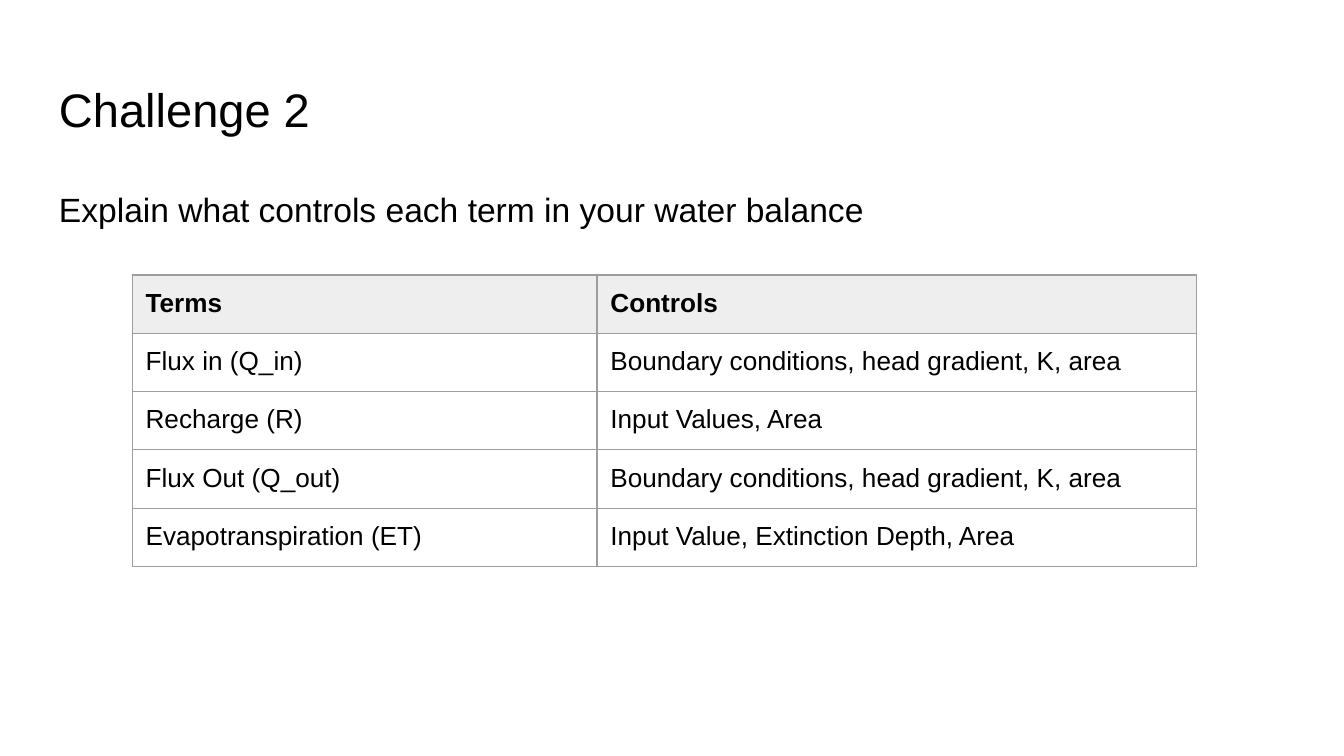
from lxml import etree
from pptx import Presentation
from pptx.dml.color import RGBColor
from pptx.enum import text
from pptx.oxml import ns
from pptx.util import Pt

COLORS = {"ink": "000000", "header": "EEEEEE", "border": "9E9E9E"}
MARGIN = Pt(7.2)


def write(frame, words, size, bold=False, spacing=1.0):
    para = frame.paragraphs[0]
    para.line_spacing = spacing
    span = para.add_run()
    span.text = words
    span.font.name = "Arial"
    span.font.size = Pt(size)
    span.font.bold = bold
    span.font.color.rgb = RGBColor.from_string(COLORS["ink"])


def add_border(cell):
    properties = cell._tc.get_or_add_tcPr()
    for index, side in enumerate(("lnL", "lnR", "lnT", "lnB")):
        line = etree.Element(ns.qn(f"a:{side}"), w=str(Pt(0.75)))
        fill = etree.SubElement(line, ns.qn("a:solidFill"))
        etree.SubElement(fill, ns.qn("a:srgbClr"), val=COLORS["border"])
        properties.insert(index, line)


deck = Presentation()
deck.slide_width, deck.slide_height = Pt(720), Pt(405)
page = deck.slides.add_slide(deck.slide_layouts[6])

headings = [
    ("Challenge 2", 35.3, 45.4, 25.2, 1.0, text.MSO_ANCHOR.BOTTOM),
    ("Explain what controls each term in your water balance",
     90.7, 269.3, 18, 1.15, text.MSO_ANCHOR.TOP),
]
for words, top, height, size, spacing, anchor in headings:
    box = page.shapes.add_textbox(Pt(24.5), Pt(top), Pt(671), Pt(height))
    frame = box.text_frame
    frame.word_wrap = True
    frame.vertical_anchor = anchor
    frame.margin_left = frame.margin_right = MARGIN
    frame.margin_top = frame.margin_bottom = MARGIN
    write(frame, words, size, spacing=spacing)

balance_terms = [
    ("Terms", "Controls"),
    ("Flux in (Q_in)", "Boundary conditions, head gradient, K, area"),
    ("Recharge (R)", "Input Values, Area"),
    ("Flux Out (Q_out)", "Boundary conditions, head gradient, K, area"),
    ("Evapotranspiration (ET)", "Input Value, Extinction Depth, Area"),
]
column_widths = (249, 321)
row_height = 30
table = page.shapes.add_table(
    len(balance_terms), len(column_widths), Pt(70.8), Pt(147.3),
    Pt(sum(column_widths)), Pt(row_height * len(balance_terms))).table
table.horz_banding = False
for column, width in zip(table.columns, column_widths):
    column.width = Pt(width)

for row_index, row in enumerate(balance_terms):
    is_header = row_index == 0
    table.rows[row_index].height = Pt(row_height)
    for column_index, words in enumerate(row):
        cell = table.cell(row_index, column_index)
        cell.margin_left = cell.margin_right = MARGIN
        cell.margin_top = cell.margin_bottom = MARGIN
        if is_header:
            cell.fill.solid()
            cell.fill.fore_color.rgb = RGBColor.from_string(COLORS["header"])
        else:
            cell.fill.background()
        add_border(cell)
        write(cell.text_frame, words, 14, bold=is_header)

deck.save("out.pptx")
